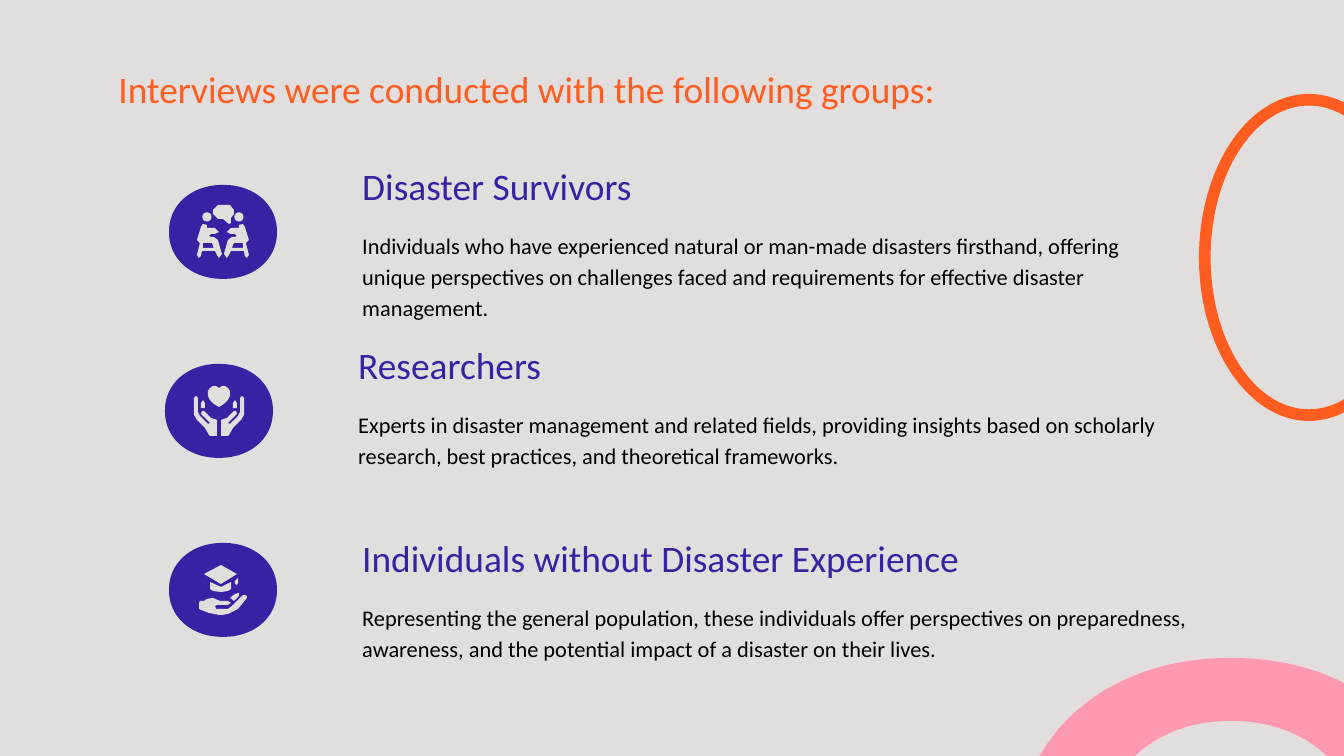
from math import cos, pi, sin

from pptx import Presentation
from pptx.dml.color import RGBColor
from pptx.enum.shapes import MSO_SHAPE
from pptx.enum.text import MSO_ANCHOR, MSO_AUTO_SIZE, PP_ALIGN
from pptx.util import Emu, Pt

SCALE = 914400 / 134.4
FONT = "Calibri"
BACKGROUND, ORANGE, PURPLE, PINK, BLACK = "E2DEDD", "FF5C1F", "3A20A3", "FF99B1", "000000"

TITLE = "Interviews were conducted with the following groups:"
GROUPS = [
    {
        "heading": "Disaster Survivors",
        "description": "Individuals who have experienced natural or man-made disasters firsthand, "
                       "offering unique perspectives on challenges faced and requirements for "
                       "effective disaster management.",
        "left": 349, "top": 215, "heading_size": (552, 56), "width": 829, "icon": "interview",
    },
    {
        "heading": "Researchers",
        "description": "Experts in disaster management and related fields, providing insights based "
                       "on scholarly research, best practices, and theoretical frameworks.",
        "left": 345, "top": 394, "heading_size": (552, 56), "width": 835, "icon": "care",
    },
    {
        "heading": "Individuals without Disaster Experience",
        "description": "Representing the general population, these individuals offer perspectives "
                       "on preparedness, awareness, and the potential impact of a disaster on "
                       "their lives.",
        "left": 349, "top": 587, "heading_size": (915, 70), "width": 882, "icon": "education",
    },
]

SPEECH_BUBBLE = [(-5, -27), (7, -27), (11, -22), (11, -18), (8, -14), (8, -9), (6, -8), (0, -13),
                 (-5, -13), (-10, -18), (-10, -22)]
SEATED_PERSON = [(-20, -8), (-22, -5), (-26, 8), (-23, 11), (-26, 23), (-24, 26), (-22, 24),
                 (-21, 19), (-8, 19), (-6, 23), (-4, 26), (-1, 22), (-5, 8), (-9, 5), (-12, 5),
                 (-14, 4), (-12, 2), (-8, 2), (-4, 0), (-8, -4), (-16, -4), (-16, -7)]
CHAIR_GAP = [(-11, 11), (-9, 16), (-20, 16), (-20, 11)]
HEART = [(0, -23), (3, -25), (6, -25), (9, -23), (11, -20), (11, -15), (9, -11), (5, -7), (0, -4),
         (-5, -7), (-9, -11), (-11, -15), (-11, -20), (-9, -23), (-6, -25), (-3, -25)]
FINGERTIP = [(16, -11), (18, -8), (18, -3), (14, -3), (14, -8)]
RAISED_HAND = [(23, -15), (21, -13), (21, 1), (19, 5), (11, 13), (9, 12), (18, 3), (17, 0), (15, 0),
               (10, 5), (8, 7), (2, 9), (2, 25), (9, 25), (10, 24), (14, 17), (22, 9), (25, 4),
               (25, -13)]
CAP_TOP = [(-2, -25), (14, -16), (-2, -6), (-19, -16)]
CAP_BASE = [(-13, -8), (-2, -3), (8, -8), (8, -1), (5, 1), (-2, 2), (-10, 1), (-13, -1)]
TASSEL = [(15, -12), (12, -9), (12, -6), (14, -5), (15, -7)]
FINGERS = [(15, 3), (12, 4), (7, 8), (9, 9), (11, 11), (16, 6), (16, 3)]
OPEN_HAND = [(22, 5), (20, 5), (9, 16), (5, 19), (-7, 19), (-8, 16), (-6, 15), (5, 15), (8, 13),
             (5, 11), (-3, 11), (-10, 8), (-16, 9), (-19, 11), (-23, 11), (-24, 13), (-24, 19),
             (-22, 20), (-14, 23), (-4, 25), (-1, 25), (5, 24), (15, 19), (24, 8), (24, 6)]


def px(value):
    return Emu(round(value * SCALE))


def color(value):
    return RGBColor.from_string(value)


def mirror(points):
    return [(-x, y) for x, y in points]


def rounded_arc(radius_x, radius_y, start, end, steps=96):
    points = []
    for step in range(steps + 1):
        angle = start + (end - start) * step / steps
        x, y = cos(angle), sin(angle)
        stretch = (abs(x) ** 2.1 + abs(y) ** 2.1) ** (-1 / 2.1)
        points.append((radius_x * x * stretch, radius_y * y * stretch))
    return points


HEAD = rounded_arc(4.5, 4.5, 0, 2 * pi, 32)
LEFT_HEAD = [(x - 16, y - 15) for x, y in HEAD]
ICONS = {
    "interview": [[SPEECH_BUBBLE], [LEFT_HEAD], [mirror(LEFT_HEAD)], [SEATED_PERSON, CHAIR_GAP],
                  [mirror(SEATED_PERSON), mirror(CHAIR_GAP)]],
    "care": [[HEART], [FINGERTIP], [mirror(FINGERTIP)], [RAISED_HAND], [mirror(RAISED_HAND)]],
    "education": [[CAP_TOP], [CAP_BASE], [TASSEL], [FINGERS], [OPEN_HAND]],
}


def paint(shape, fill):
    shape.shadow.inherit = False
    shape.fill.solid()
    shape.fill.fore_color.rgb = color(fill)
    shape.line.fill.background()


def add_outline(slide, contours, center_x, center_y, fill):
    placed = [[(px(center_x + x), px(center_y + y)) for x, y in contour] for contour in contours]
    builder = slide.shapes.build_freeform(*placed[0][0], scale=1.0)
    builder.add_line_segments(placed[0][1:])
    for contour in placed[1:]:
        builder.move_to(*contour[0])
        builder.add_line_segments(contour[1:])
    paint(builder.convert_to_shape(), fill)


def write_text(shape, text, size, fill, anchor=MSO_ANCHOR.TOP, spacing=1.0):
    text_frame = shape.text_frame
    text_frame.text = text
    text_frame.word_wrap = True
    text_frame.auto_size = MSO_AUTO_SIZE.NONE
    text_frame.vertical_anchor = anchor
    text_frame.margin_left = text_frame.margin_right = Pt(7.2)
    text_frame.margin_top = text_frame.margin_bottom = Pt(7.2)
    paragraph = text_frame.paragraphs[0]
    paragraph.alignment = PP_ALIGN.LEFT
    paragraph.line_spacing = spacing
    font = paragraph.runs[0].font
    font.name, font.size, font.color.rgb = FONT, Pt(size), color(fill)


def add_text(slide, left, top, width, height, *content, **options):
    box = slide.shapes.add_textbox(px(left), px(top), px(width), px(height))
    write_text(box, *content, **options)


def add_group(slide, group, center_y):
    left, top = group["left"], group["top"]
    heading_width, heading_height = group["heading_size"]
    add_text(slide, left, top + 6 - heading_height, heading_width, heading_height,
             group["heading"], 20, PURPLE, anchor=MSO_ANCHOR.BOTTOM)
    add_text(slide, left, top, group["width"], 117, group["description"], 12, BLACK, spacing=1.15)
    center_x = left - 126
    add_outline(slide, [rounded_arc(54, 47, 0, 2 * pi)], center_x, center_y, PURPLE)
    for contours in ICONS[group["icon"]]:
        add_outline(slide, contours, center_x, center_y, BACKGROUND)


def main():
    presentation = Presentation()
    presentation.slide_width, presentation.slide_height = px(1344), px(756)
    slide = presentation.slides.add_slide(presentation.slide_layouts[5])
    slide.background.fill.solid()
    slide.background.fill.fore_color.rgb = color(BACKGROUND)

    ring = slide.shapes.add_shape(MSO_SHAPE.DONUT, px(1199), px(94), px(220), px(327))
    ring.adjustments[0] = 0.053
    paint(ring, ORANGE)

    title = slide.shapes.title
    title.left, title.top, title.width, title.height = px(105), px(46), px(1254), px(75)
    write_text(title, TITLE, 20, ORANGE, spacing=1.15)

    for index, group in enumerate(GROUPS):
        add_group(slide, group, 232 + 179 * index)

    arch = rounded_arc(213, 184, pi, 2 * pi) + rounded_arc(132, 121, 2 * pi, pi)
    add_outline(slide, [arch], 1231, 842, PINK)
    presentation.save("out.pptx")


if __name__ == "__main__":
    main()
